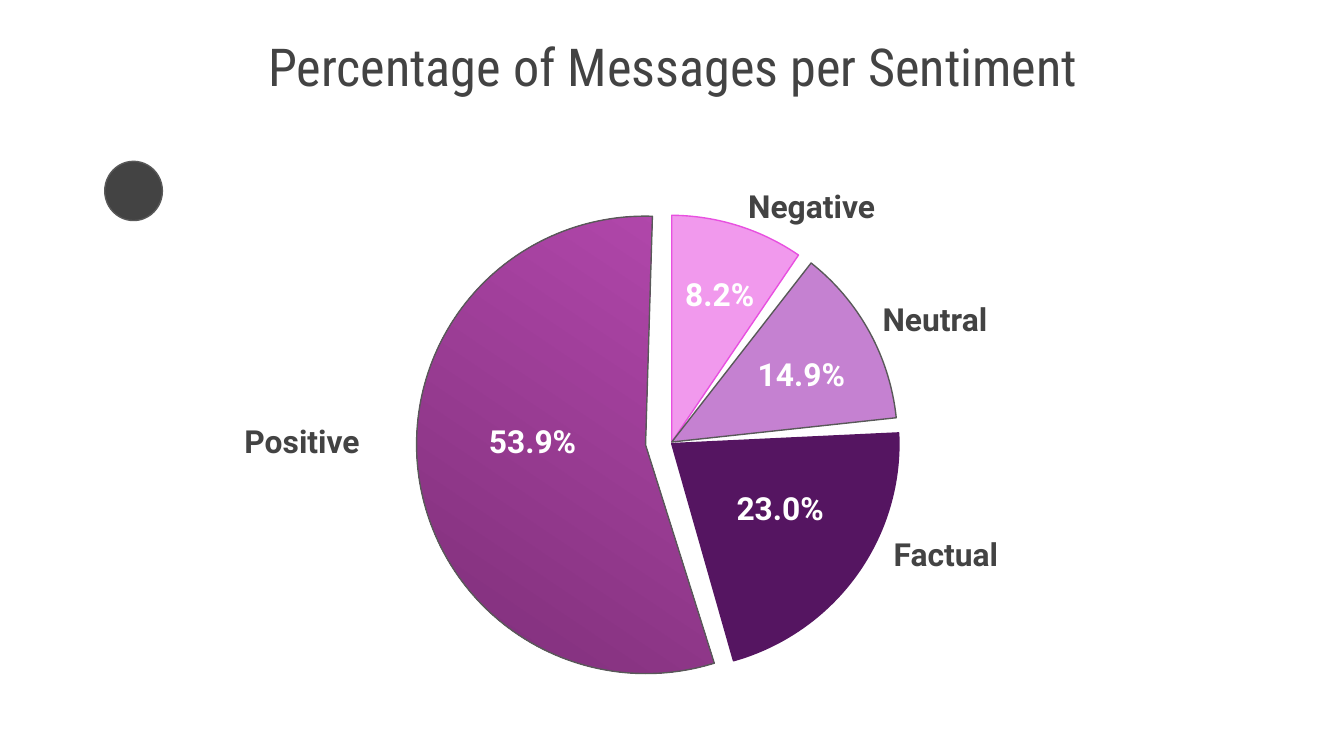
from dataclasses import dataclass
from typing import Optional

from lxml import etree
from pptx import Presentation
from pptx import util as u
from pptx.dml.color import RGBColor
from pptx.enum import shapes, text
from pptx.oxml.ns import qn


@dataclass(frozen=True)
class Theme:
    ink: str = "434343"
    outline: str = "595959"
    value: str = "FFFFFF"
    title_font: str = "Roboto Condensed"
    label_font: str = "Roboto"
    title_size: int = 28
    label_size: int = 17
    line_width: float = 0.75
    inset: float = 0.25


@dataclass(frozen=True)
class Area:
    left: float
    top: float
    width: float
    height: float

    def lengths(self) -> list:
        return [u.Cm(v) for v in (self.left, self.top, self.width, self.height)]


@dataclass(frozen=True)
class Slice:
    area: Area
    rotation: float
    angles: tuple
    fills: tuple  # one colour is solid, two make a gradient
    line: str
    opacity: Optional[int] = None


@dataclass(frozen=True)
class Label:
    wording: str
    area: Area
    color: str


THEME = Theme()
LABEL_HEIGHT = 1.24
TITLE_AREA = Area(1.98, 0.56, 21.46, 1.35)
DOT_AREA = Area(1.98, 3.05, 1.09, 1.12)
SMALL_PIE = Area(8.43, 4.06, 8.53, 8.59)

SLICES = [
    Slice(Area(7.87, 4.09, 8.66, 8.64), 34, (23.11, 142.64), ("CA52C2", "70296C"), THEME.outline),
    Slice(SMALL_PIE, 147.3, (73.62, 94.09), ("E850E0",), "E850E0", 58),
    Slice(SMALL_PIE, 189.7, (70.91, 98.47), ("9C27B0",), THEME.outline, 58),
    Slice(Area(8.43, 4.09, 8.53, 8.59), 270, (52.37, 98.47), ("551561",), "551561"),
]


def value_label(wording: str, left: float, top: float, width: float = 2.21) -> Label:
    return Label(wording, Area(left, top, width, LABEL_HEIGHT), THEME.value)


def name_label(wording: str, left: float, top: float) -> Label:
    return Label(wording, Area(left, top, 3.4, LABEL_HEIGHT), THEME.ink)


LABELS = [
    value_label("53.9%", 8.99, 7.72),
    value_label("8.2%", 12.7, 4.95, 1.84),
    value_label("23.0%", 13.67, 8.99),
    value_label("14.9%", 14.07, 6.45),
    name_label("Positive", 4.37, 7.72),
    name_label("Negative", 13.89, 3.28),
    name_label("Factual", 16.64, 9.86),
    name_label("Neutral", 16.43, 5.41),
]


def write(box, wording: str, font: str, size: int, color: str, bold: bool) -> None:
    frame = box.text_frame
    frame.text = wording
    frame.word_wrap = True
    frame.margin_left = frame.margin_right = u.Cm(THEME.inset)
    frame.margin_top = frame.margin_bottom = u.Cm(THEME.inset)
    span = frame.paragraphs[0].runs[0]
    span.font.name = font
    span.font.size = u.Pt(size)
    span.font.bold = bold
    span.font.color.rgb = RGBColor.from_string(color)


def draw_title(page, wording: str) -> None:
    title = page.shapes.title
    title.left, title.top, title.width, title.height = TITLE_AREA.lengths()
    write(title, wording, THEME.title_font, THEME.title_size, THEME.ink, False)
    title.text_frame.auto_size = text.MSO_AUTO_SIZE.NONE
    title.text_frame.vertical_anchor = text.MSO_ANCHOR.MIDDLE
    title.text_frame.paragraphs[0].alignment = text.PP_ALIGN.CENTER


def draw_shape(page, kind, area: Area, line: str):
    shape = page.shapes.add_shape(kind, *area.lengths())
    shape.shadow.inherit = False
    shape.line.color.rgb = RGBColor.from_string(line)
    shape.line.width = u.Pt(THEME.line_width)
    return shape


def fill_solid(shape, color: str, opacity: Optional[int] = None) -> None:
    shape.fill.solid()
    shape.fill.fore_color.rgb = RGBColor.from_string(color)
    if opacity is not None:
        tint = shape.fill._xPr.find(qn("a:solidFill")).find(qn("a:srgbClr"))
        etree.SubElement(tint, qn("a:alpha")).set("val", str(opacity * 1000))


def draw_slice(page, part: Slice) -> None:
    shape = draw_shape(page, shapes.MSO_SHAPE.PIE, part.area, part.line)
    shape.rotation = part.rotation
    for index, angle in enumerate(part.angles):
        shape.adjustments[index] = angle
    if len(part.fills) == 1:
        fill_solid(shape, part.fills[0], part.opacity)
        return
    shape.fill.gradient()
    shape.fill.gradient_angle = 270  # from top to bottom
    for stop, color in zip(shape.fill.gradient_stops, part.fills):
        stop.color.rgb = RGBColor.from_string(color)


def draw_label(page, label: Label) -> None:
    box = page.shapes.add_textbox(*label.area.lengths())
    write(box, label.wording, THEME.label_font, THEME.label_size, label.color, True)
    box.text_frame.auto_size = text.MSO_AUTO_SIZE.SHAPE_TO_FIT_TEXT


def main() -> None:
    deck = Presentation()
    deck.slide_width, deck.slide_height = u.Cm(25.4), u.Cm(14.29)
    page = deck.slides.add_slide(deck.slide_layouts[5])

    draw_title(page, "Percentage of Messages per Sentiment")

    # Exploded pie with its values and names
    for part in SLICES:
        draw_slice(page, part)
    for label in LABELS:
        draw_label(page, label)

    # Dark dot at the upper left
    dot = draw_shape(page, shapes.MSO_SHAPE.OVAL, DOT_AREA, THEME.outline)
    fill_solid(dot, THEME.ink)

    deck.save("out.pptx")


if __name__ == "__main__":
    main()
